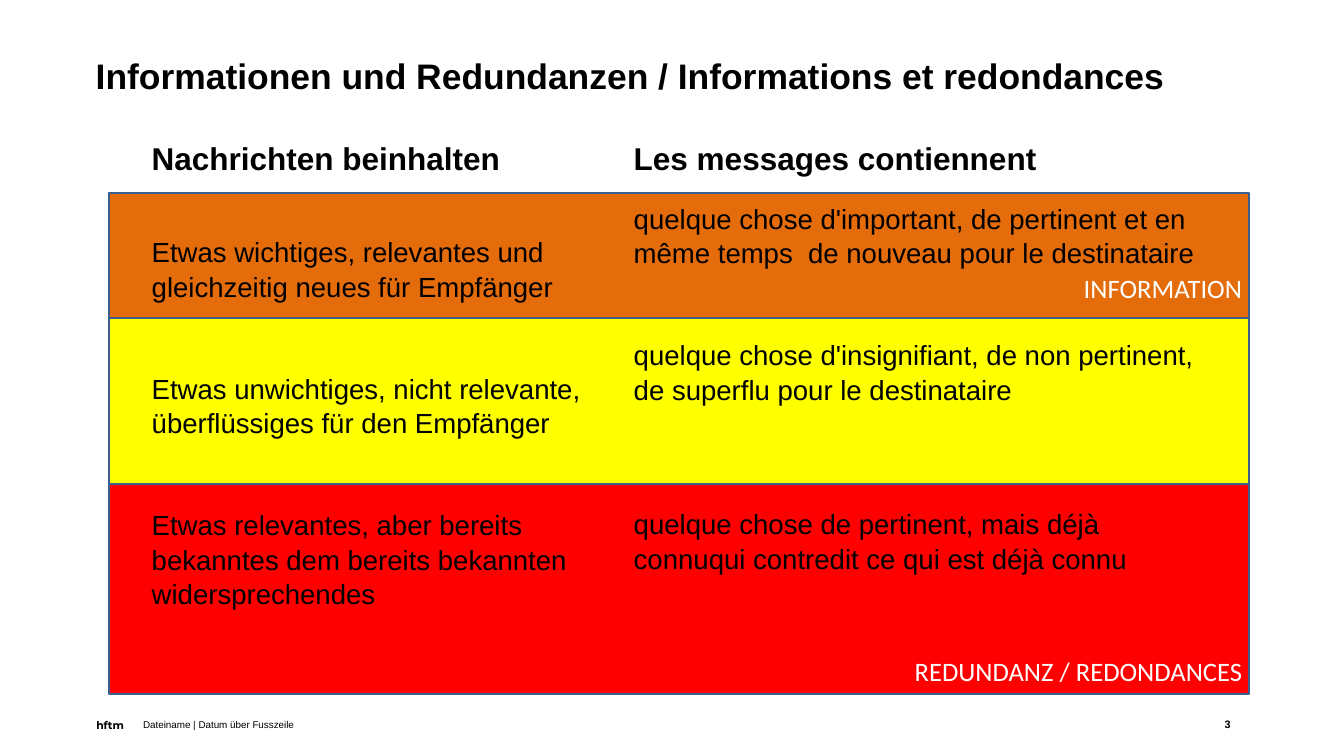
"""Build the slide on information and redundancy in German and French."""
from dataclasses import dataclass

from lxml.etree import SubElement
from pptx import Presentation
from pptx.dml.color import RGBColor
from pptx.enum.shapes import MSO_SHAPE
from pptx.enum.text import MSO_ANCHOR, MSO_AUTO_SIZE, PP_ALIGN
from pptx.oxml.ns import qn
from pptx.slide import Slide
from pptx.text.text import TextFrame, _Paragraph
from pptx.util import Emu, Pt

EMU_PER_PX = 9144
COLORS = {
    "text": "000000",
    "label": "FFFFFF",
    "outline": "3A5F8C",
    "new": "E46C0A",
    "unimportant": "FFFF00",
    "known": "FF0000",
}
BAND_LEFT, BAND_WIDTH = 154, 1608
LINE_SPACING = 1.05


@dataclass(frozen=True)
class Box:
    left: int
    top: int
    width: int
    height: int

    def emu(self) -> list[Emu]:
        return [px(value) for value in (self.left, self.top, self.width, self.height)]


@dataclass(frozen=True)
class Style:
    size: int
    bold: bool = False
    font: str = "Arial"
    color: str = "text"
    align: PP_ALIGN = PP_ALIGN.LEFT


@dataclass(frozen=True)
class Band:
    color: str
    top: int
    height: int
    label: str = ""
    bottom_inset: int = 0


@dataclass(frozen=True)
class Line:
    text: str
    style: Style
    space_before: int = 0


@dataclass(frozen=True)
class Column:
    placeholder: int
    box: Box
    lines: tuple[Line, ...]


@dataclass(frozen=True)
class Footer:
    text: str
    box: Box
    style: Style


TITLE = Style(36, bold=True)
HEADING = Style(32, bold=True)
BODY = Style(28)
LABEL = Style(27, font="Calibri", color="label", align=PP_ALIGN.RIGHT)

BANDS = (
    Band("known", 683, 297, "REDUNDANZ / REDONDANCES", 11),
    Band("unimportant", 448, 235),
    Band("new", 272, 177, "INFORMATION", 20),
)
COLUMNS = (
    Column(1, Box(214, 193, 656, 687), (
        Line("Nachrichten beinhalten", HEADING),
        Line("Etwas wichtiges, relevantes und gleichzeitig neues für Empfänger", BODY, 58),
        Line("Etwas unwichtiges, nicht relevante, überflüssiges für den Empfänger", BODY, 68),
        Line("Etwas relevantes, aber bereits bekanntes dem bereits bekannten "
             "widersprechendes", BODY, 68),
    )),
    Column(2, Box(894, 193, 792, 653), (
        Line("Les messages contiennent", HEADING),
        Line("quelque chose d'important, de pertinent et en même temps  de nouveau "
             "pour le destinataire", BODY, 24),
        Line("quelque chose d'insignifiant, de non pertinent, de superflu pour le "
             "destinataire", BODY, 68),
        Line("quelque chose de pertinent, mais déjà connuqui contredit ce qui est "
             "déjà connu", BODY, 101),
    )),
)
FOOTERS = (
    Footer("3", Box(1578, 1008, 168, 29), Style(11, bold=True, align=PP_ALIGN.RIGHT)),
    Footer("hftm", Box(126, 1009, 100, 29), Style(11, bold=True, font="Montserrat")),
    Footer("Dateiname | Datum über Fusszeile", Box(192, 1009, 450, 32), Style(10)),
)


def px(value: int) -> Emu:
    return Emu(value * EMU_PER_PX)


def rgb(name: str) -> RGBColor:
    return RGBColor.from_string(COLORS[name])


def write(paragraph: _Paragraph, text: str, style: Style) -> None:
    paragraph.alignment = style.align
    run = paragraph.add_run()
    run.text = text
    run.font.name = style.font
    run.font.size = Pt(style.size)
    run.font.bold = style.bold
    run.font.color.rgb = rgb(style.color)


def prepare_frame(frame: TextFrame, anchor: MSO_ANCHOR = MSO_ANCHOR.TOP) -> None:
    frame.word_wrap = True
    frame.auto_size = MSO_AUTO_SIZE.NONE
    frame.vertical_anchor = anchor


def place(slide: Slide, index: int, box: Box) -> TextFrame:
    placeholder = slide.placeholders[index]
    placeholder.left, placeholder.top, placeholder.width, placeholder.height = box.emu()
    slide.shapes.element.append(placeholder.element)
    frame = placeholder.text_frame
    prepare_frame(frame)
    frame.margin_left = frame.margin_right = frame.margin_top = frame.margin_bottom = 0
    return frame


def add_band(slide: Slide, band: Band) -> None:
    box = Box(BAND_LEFT, band.top, BAND_WIDTH, band.height)
    shape = slide.shapes.add_shape(MSO_SHAPE.RECTANGLE, *box.emu())
    shape.shadow.inherit = False
    shape.fill.solid()
    shape.fill.fore_color.rgb = rgb(band.color)
    shape.line.color.rgb = rgb("outline")
    shape.line.width = Pt(2)
    if band.label:
        prepare_frame(shape.text_frame, MSO_ANCHOR.BOTTOM)
        shape.text_frame.margin_bottom = px(band.bottom_inset)
        write(shape.text_frame.paragraphs[0], band.label, LABEL)


def add_column(slide: Slide, column: Column) -> None:
    frame = place(slide, column.placeholder, column.box)
    for number, line in enumerate(column.lines):
        paragraph = frame.add_paragraph() if number else frame.paragraphs[0]
        properties = paragraph._p.get_or_add_pPr()
        properties.set("marL", "0")
        properties.set("indent", "0")
        SubElement(properties, qn("a:buNone"))
        paragraph.line_spacing = LINE_SPACING
        paragraph.space_before = Pt(line.space_before)
        write(paragraph, line.text, line.style)


def add_footer(slide: Slide, footer: Footer) -> None:
    frame = slide.shapes.add_textbox(*footer.box.emu()).text_frame
    prepare_frame(frame)
    write(frame.paragraphs[0], footer.text, footer.style)


def main() -> None:
    presentation = Presentation()
    presentation.slide_width, presentation.slide_height = px(1896), px(1067)
    slide = presentation.slides.add_slide(presentation.slide_layouts[3])
    for band in BANDS:
        add_band(slide, band)
    for footer in FOOTERS:
        add_footer(slide, footer)
    title = place(slide, 0, Box(135, 77, 1611, 61))
    write(title.paragraphs[0], "Informationen und Redundanzen / Informations et redondances", TITLE)
    for column in COLUMNS:
        add_column(slide, column)
    presentation.save("out.pptx")


if __name__ == "__main__":
    main()
